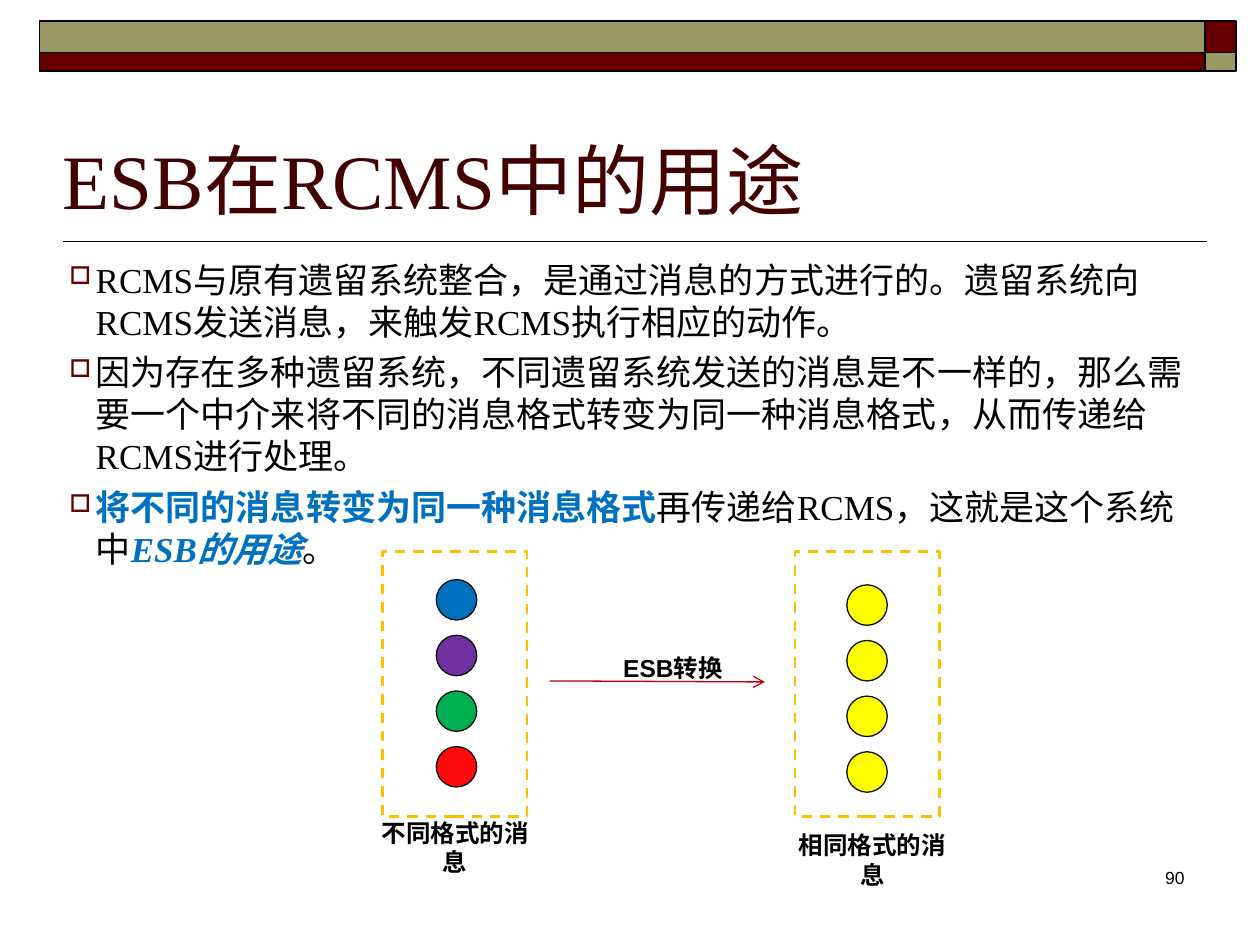
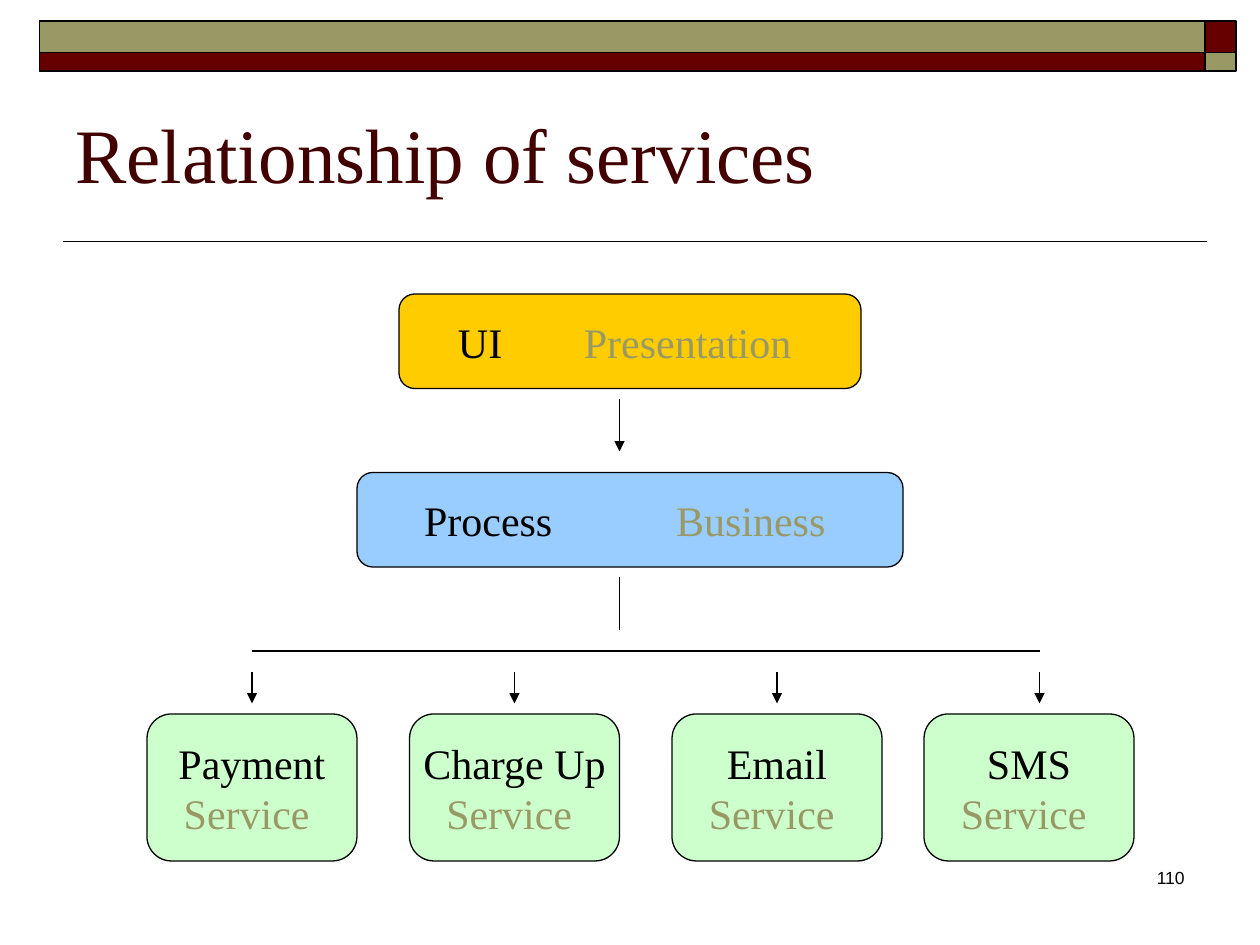
from dataclasses import dataclass

from lxml import etree
from pptx import Presentation
from pptx.dml.color import RGBColor
from pptx.enum.dml import MSO_LINE
from pptx.enum.shapes import MSO_CONNECTOR, MSO_SHAPE
from pptx.enum.text import MSO_ANCHOR, PP_ALIGN
from pptx.oxml.ns import qn
from pptx.util import Inches, Pt

RECT, ROUNDED, OVAL = MSO_SHAPE.RECTANGLE, MSO_SHAPE.ROUNDED_RECTANGLE, MSO_SHAPE.OVAL
STRAIGHT, DASH = MSO_CONNECTOR.STRAIGHT, MSO_LINE.DASH
TOP, MIDDLE, BOTTOM = MSO_ANCHOR.TOP, MSO_ANCHOR.MIDDLE, MSO_ANCHOR.BOTTOM
LEFT, CENTER, RIGHT = PP_ALIGN.LEFT, PP_ALIGN.CENTER, PP_ALIGN.RIGHT


@dataclass(frozen=True)
class Theme:
    serif: str = "Times New Roman"
    sans: str = "Arial"
    title_size: float = 44
    layer_size: float = 24
    body_size: float = 20
    caption_size: float = 14
    number_size: float = 10
    ink: str = "000000"
    title: str = "420000"
    maroon: str = "660000"
    olive: str = "999966"
    accent: str = "0070C0"
    frame: str = "FFC000"
    arrow: str = "C00000"
    dot_line: str = "0D0D0D"
    mixed_dots: tuple = ("0070C0", "7030A0", "00B050", "FF0A0A")
    same_dots: tuple = ("FFFF00",) * 4
    ui: str = "FFCC00"
    process: str = "99CCFF"
    service: str = "CCFFCC"


THEME = Theme()


def grid(count):
    """The slide is a grid of 120 columns by 90 rows, twelve to the inch."""
    return Inches(count / 12)


@dataclass(frozen=True)
class Box:
    """An area measured in grid columns and rows."""
    left: float
    top: float
    width: float
    height: float

    def inside(self, col, row, width, height):
        return Box(self.left + col, self.top + row, width, height)

    def lengths(self):
        return [grid(n) for n in (self.left, self.top, self.width, self.height)]


PAGE = Box(0, 0, 120, 90)


# Drawing helpers

def color(code):
    return RGBColor.from_string(code)


def add_figure(page, kind, box, fill=None, line=THEME.ink, weight=0.75):
    shape = page.shapes.add_shape(kind, *box.lengths())
    shape.shadow.inherit = False
    if fill:
        shape.fill.solid()
        shape.fill.fore_color.rgb = color(fill)
    else:
        shape.fill.background()
    shape.line.color.rgb = color(line)
    shape.line.width = Pt(weight)
    return shape


def add_line(page, box, start, end, line=THEME.ink, weight=0.75, head=None):
    points = [grid(n) for x, y in (start, end) for n in (box.left + x, box.top + y)]
    connector = page.shapes.add_connector(STRAIGHT, *points)
    connector.line.color.rgb = color(line)
    connector.line.width = Pt(weight)
    if head:
        etree.SubElement(connector.line._get_or_add_ln(), qn("a:tailEnd"), type=head)
    etree.SubElement(connector._element.spPr, qn("a:effectLst"))


def write(shape, paras, size, font=THEME.serif, align=LEFT, anchor=TOP, wrap=True):
    """Fill a shape; each paragraph is a list of (text, colour, bold, italic)."""
    frame = shape.text_frame
    frame.word_wrap = wrap
    frame.vertical_anchor = anchor
    for index, spans in enumerate(paras):
        para = frame.add_paragraph() if index else frame.paragraphs[0]
        para.alignment = align
        for text, ink, bold, italic in spans:
            span = para.add_run()
            span.text = text
            span.font.name, span.font.size = font, Pt(size)
            span.font.color.rgb = color(ink)
            span.font.bold, span.font.italic = bold, italic
    return frame


def add_text(page, box, paras, size, **style):
    return write(page.shapes.add_textbox(*box.lengths()), paras, size, **style)


def plain(text, ink=THEME.ink):
    return text, ink, False, False


def strong(text, ink=THEME.ink, italic=False):
    return text, ink, True, italic


def add_bullet(para):
    props = para._p.get_or_add_pPr()
    props.set("marL", str(Inches(0.21)))
    props.set("indent", str(-Inches(0.21)))
    bullet_color = etree.SubElement(props, qn("a:buClr"))
    etree.SubElement(bullet_color, qn("a:srgbClr"), val=THEME.maroon)
    etree.SubElement(props, qn("a:buSzPct"), val="70000")
    etree.SubElement(props, qn("a:buChar"), char="□")


def add_inch_tabs(para):
    tabs = etree.SubElement(para._p.get_or_add_pPr(), qn("a:tabLst"))
    for inch in range(8):
        etree.SubElement(tabs, qn("a:tab"), pos=str(Inches(inch)), algn="l")


# Parts shared by both slides

def add_header(page, box):
    add_line(page, box, (115, 23), (6, 23), weight=1)
    wide, corner, upper, lower = 111, 3, 3, 1.8
    for col, row, width, height, fill in (
        (wide, 0, corner, upper, THEME.maroon),
        (0, 0, wide, upper, THEME.olive),
        (0, upper, wide, lower, THEME.maroon),
        (wide, upper, corner, lower, THEME.olive),
    ):
        add_figure(page, RECT, box.inside(3.75 + col, 2 + row, width, height), fill, weight=1)


def start_page(deck, title, number, anchor, side_inset):
    page = deck.slides.add_slide(deck.slide_layouts[6])
    add_header(page, PAGE)
    add_text(page, PAGE.inside(89, 82, 25, 6), [[plain(number)]], THEME.number_size,
             font=THEME.sans, align=RIGHT)
    frame = add_text(page, PAGE.inside(6, 7, 108, 15), [[plain(title, THEME.title)]],
                     THEME.title_size, anchor=anchor)
    frame.margin_left = frame.margin_right = Inches(side_inset)
    return page


# Slide about the purpose of the ESB

def add_body(page, box, paras):
    frame = add_text(page, box, paras, THEME.body_size)
    frame.margin_left = frame.margin_right = Inches(0.05)
    for index, para in enumerate(frame.paragraphs):
        add_bullet(para)
        if index:
            para.space_before = Pt(5)


def add_caption(page, box, text):
    add_text(page, box, [[strong(text)]], THEME.caption_size,
             font=THEME.sans, align=CENTER, wrap=False)


def add_messages(page, box, dots, first_dot, caption, caption_at):
    pitch, size = 5.3, 3.85
    col, row = first_dot
    for index, fill in enumerate(dots):
        add_figure(page, OVAL, box.inside(col, row + index * pitch, size, size),
                   fill, THEME.dot_line)
    frame = add_figure(page, RECT, box, line=THEME.frame, weight=1.5)
    frame.line.dash_style = DASH
    add_caption(page, box.inside(*caption_at, 18.7, 4.1), caption)


def add_conversion(page, box):
    add_messages(page, box.inside(0, 0, 13.8, box.height), THEME.mixed_dots,
                 (5.15, 2.65), "不同格式的消息", (-2.4, 24.75))
    add_messages(page, box.inside(39.3, 0, 13.8, box.height), THEME.same_dots,
                 (4.95, 3.15), "相同格式的消息", (-1.95, 25.95))
    add_line(page, box, (15.95, 12.3), (36.45, 12.4), THEME.arrow, head="arrow")
    add_caption(page, box.inside(21.45, 9.05, 12.5, 4.1), "ESB转换")


def build_purpose(deck):
    page = start_page(deck, "ESB在RCMS中的用途", "90", BOTTOM, 0)
    add_body(page, PAGE.inside(6, 24, 108, 56.4), [
        [plain("RCMS与原有遗留系统整合，是通过消息的方式进行的。"
               "遗留系统向RCMS发送消息，来触发RCMS执行相应的动作。")],
        [plain("因为存在多种遗留系统，不同遗留系统发送的消息是不一样的，"
               "那么需要一个中介来将不同的消息格式转变为同一种消息格式，"
               "从而传递给RCMS进行处理。")],
        [strong("将不同的消息转变为同一种消息格式", THEME.accent),
         plain("再传递给RCMS，这就是这个系统中"),
         strong("ESB的用途", THEME.accent, italic=True),
         plain("。")],
    ])
    add_conversion(page, PAGE.inside(36.4, 52.55, 53.1, 25.2))


# Slide about how services relate

def add_layer(page, box, fill, paras):
    shape = add_figure(page, ROUNDED, box, fill)
    return write(shape, paras, THEME.layer_size, align=CENTER, anchor=MIDDLE, wrap=False)


def add_service_tree(page, box):
    # Upper layers, with the name and its role set apart by a tab
    for area, fill, name, role in (
        (box.inside(24, 0, 44, 9), THEME.ui, "UI", "Presentation "),
        (box.inside(20, 17, 52, 9), THEME.process, "Process", "Business "),
    ):
        frame = add_layer(page, area, fill, [[plain(name + "\t"), plain(role, THEME.olive)]])
        add_inch_tabs(frame.paragraphs[0])

    # Services
    services = {"Payment": 0, "Charge Up": 25, "Email": 50, "SMS": 74}
    for name, col in services.items():
        add_layer(page, box.inside(col, 40, 20, 14), THEME.service,
                  [[plain(name)], [plain("Service ", THEME.olive)]])

    # Trunk, crossbar and branches
    trunk, first, pitch = 45, 10, 25
    branches = [first + pitch * index for index in range(len(services))]
    add_line(page, box, (trunk, 10), (trunk, 15), head="triangle")
    add_line(page, box, (trunk, 27), (trunk, 32))
    add_line(page, box, (branches[0], 34), (branches[-1], 34))
    for col in branches:
        add_line(page, box, (col, 36), (col, 39), head="triangle")


def build_relationship(deck):
    page = start_page(deck, "Relationship of services", "110", MIDDLE, 0.1)
    add_service_tree(page, PAGE.inside(14, 28, 94, 54))


def main():
    deck = Presentation()
    deck.slide_width, deck.slide_height = grid(PAGE.width), grid(PAGE.height)
    build_purpose(deck)
    build_relationship(deck)
    deck.save("out.pptx")


if __name__ == "__main__":
    main()
